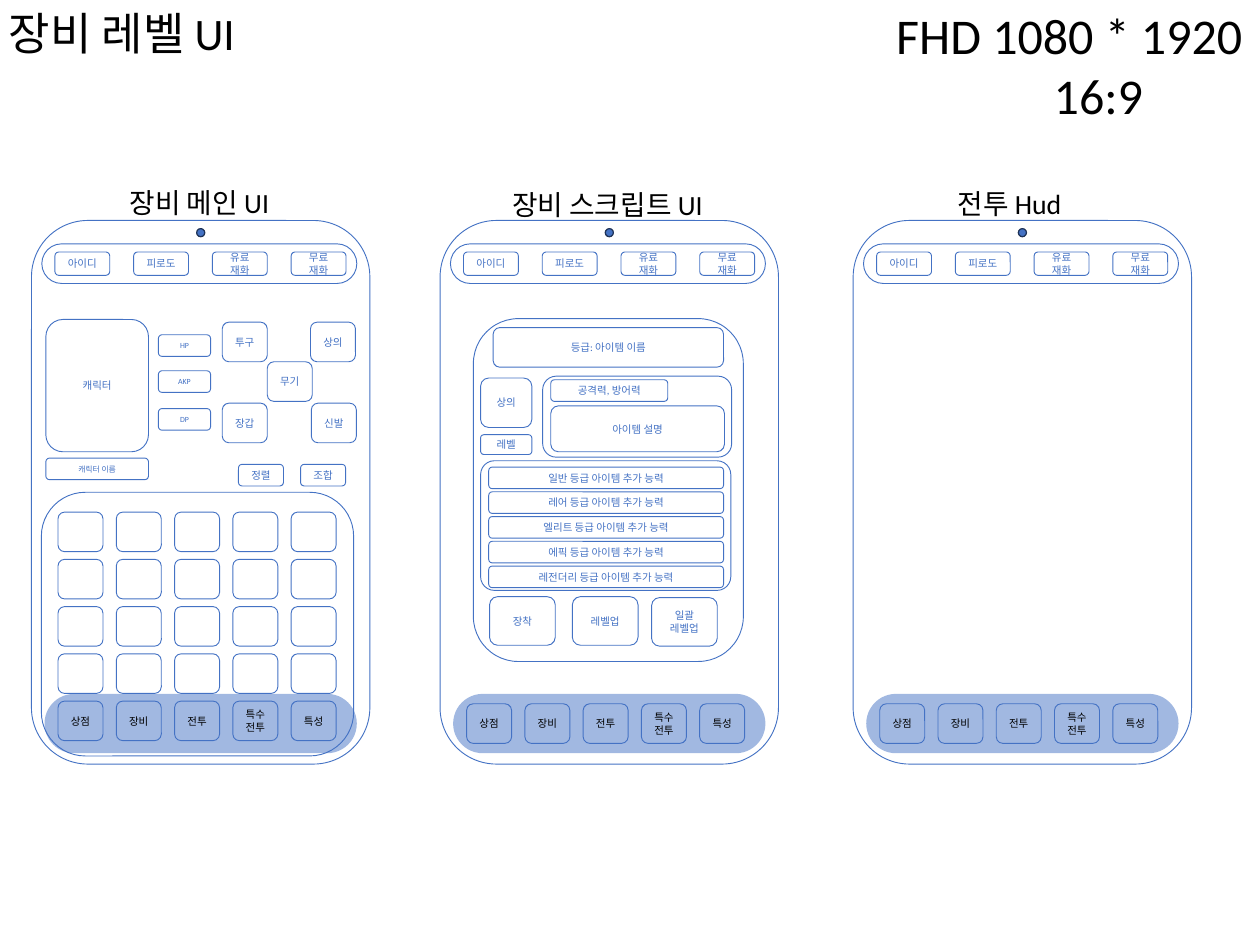
from lxml.etree import SubElement
from pptx import Presentation
from pptx.dml.color import RGBColor
from pptx.enum.shapes import MSO_SHAPE
from pptx.enum.text import MSO_ANCHOR, MSO_AUTO_SIZE, PP_ALIGN
from pptx.oxml.ns import qn
from pptx.util import Inches, Pt

BLUE, NAVY, BLACK = "4472C4", "1E3256", "000000"
PHONE_TOP, PHONE_W, PHONE_H = 2.45, 3.76, 6.04
SLOT_W, SLOT_H, SLOT_PITCH = 0.5, 0.44, 0.6475


def rgb(value):
    return RGBColor.from_string(value)


def write(p, text, size, color, align=PP_ALIGN.CENTER):
    p.text = text
    p.alignment = align
    for font in [p.font] + [r.font for r in p.runs]:
        for name, value in {"name": "Calibri", "size": Pt(size)}.items():
            setattr(font, name, value)
        font.color.rgb = rgb(color)


def add_box(shapes, x, y, w, h, text="", size=8.4, color=BLUE, adj=None,
            kind=MSO_SHAPE.ROUNDED_RECTANGLE, fill=None, line=BLUE, weight=0.75):
    sp = shapes.add_shape(kind, Inches(x), Inches(y), Inches(w), Inches(h))
    sp.shadow.inherit = False
    if adj is not None:
        sp.adjustments[0] = adj
    if fill:
        sp.fill.solid()
        sp.fill.fore_color.rgb = rgb(fill)
    else:
        sp.fill.background()
    if line:
        sp.line.color.rgb = rgb(line)
        sp.line.width = Pt(weight)
    else:
        sp.line.fill.background()
    if text:
        tf = sp.text_frame
        tf.word_wrap = True
        tf.vertical_anchor = MSO_ANCHOR.MIDDLE
        write(tf.paragraphs[0], text, size, color)
    return sp


def add_boxes(shapes, x, y, boxes, **style):
    """Place (left, top, width, height, text) boxes relative to x, y."""
    for left, top, w, h, text in boxes:
        add_box(shapes, x + left, y + top, w, h, text, **style)


def add_text(shapes, x, y, w, h, lines, size, align):
    """Add a text box; lines holds (text, left indent) pairs."""
    box = shapes.add_textbox(Inches(x), Inches(y), Inches(w), Inches(h))
    tf = box.text_frame
    tf.word_wrap = True
    tf.auto_size = MSO_AUTO_SIZE.SHAPE_TO_FIT_TEXT
    for i, (text, indent) in enumerate(lines):
        p = tf.add_paragraph() if i else tf.paragraphs[0]
        write(p, text, size, BLACK, align)
        if indent:
            p._p.get_or_add_pPr().set("marL", str(Inches(indent)))


def add_slot_row(shapes, x, y, labels):
    group = shapes.add_group_shape().shapes
    for i, label in enumerate(labels):
        add_box(group, x + i * SLOT_PITCH, y, SLOT_W, SLOT_H, label, color=BLACK)


def add_status_bar(shapes, x, y):
    group = shapes.add_group_shape().shapes
    add_box(group, x, y, 3.5, 0.44, adj=0.5)
    for i, label in enumerate(["아이디", "피로도", "유료\n재화", "무료\n재화"]):
        add_box(group, x + 0.145 + i * 0.875, y + 0.09, 0.61, 0.26, label)
    add_box(group, x + 1.72, y - 0.17, 0.09, 0.09, kind=MSO_SHAPE.OVAL,
            fill=BLUE, line=NAVY, weight=1)


def add_phone(shapes, x, y, menu_top):
    bar = add_box(shapes, x + 0.145, y + 5.26, 3.47, 0.66, adj=0.5, fill=BLUE, line=None)
    color = bar.fill._xPr.find(qn("a:solidFill"))[0]
    SubElement(color, qn("a:alpha")).set("val", "50000")
    add_box(shapes, x, y, PHONE_W, PHONE_H)
    add_status_bar(shapes, x + 0.115, y + 0.26)
    add_slot_row(shapes, x + 0.295, y + menu_top,
                 ["상점", "장비", "전투", "특수전투", "특성"])


def add_equipment(shapes, x, y):
    add_boxes(shapes, x, y, [
        (2.12, 1.13, SLOT_W, SLOT_H, "투구"),
        (2.12, 2.03, SLOT_W, SLOT_H, "장갑"),
        (3.1, 1.13, SLOT_W, SLOT_H, "상의"),
        (3.11, 2.03, SLOT_W, SLOT_H, "신발"),
        (2.62, 1.57, SLOT_W, SLOT_H, "무기"),
        (0.16, 1.1, 1.14, 1.47, "캐릭터"),
        (2.3, 2.71, 0.5, 0.24, "정렬"),
        (2.99, 2.71, 0.5, 0.24, "조합"),
    ])
    add_boxes(shapes, x, y, [
        (0.16, 2.64, 1.14, 0.24, "캐릭터 이름"),
        (1.41, 1.27, 0.58, 0.24, "HP"),
        (1.41, 1.67, 0.58, 0.24, "AKP"),
        (1.41, 2.09, 0.58, 0.24, "DP"),
    ], size=6.3)


def add_inventory(shapes, x, y):
    add_box(shapes, x, y, 3.47, 2.93)
    for row in range(4):
        add_slot_row(shapes, x + 0.185, y + 0.22 + row * 0.525, [""] * 5)


def add_item_card(shapes, x, y):
    group = shapes.add_group_shape().shapes
    add_boxes(group, x, y, [
        (0, 0, 3, 3.81, ""),
        (0.08, 0.66, 0.57, 0.55, "상의"),
        (0.22, 0.1, 2.56, 0.44, "등급: 아이템 이름"),
        (0.77, 0.64, 2.1, 0.9, ""),
        (0.86, 0.68, 1.3, 0.24, "공격력, 방어력"),
        (0.08, 1.29, 0.57, 0.22, "레벨"),
        (0.86, 0.97, 1.93, 0.51, "아이템 설명"),
        (0.18, 3.09, 0.73, 0.54, "장착"),
        (1.1, 3.09, 0.73, 0.54, "레벨업"),
        (1.98, 3.1, 0.73, 0.54, "일괄 레벨업"),
    ])
    add_box(group, x + 0.08, y + 1.58, 2.78, 1.44, adj=0.106)
    for i, grade in enumerate(["일반", "레어", "엘리트", "에픽", "레전더리"]):
        add_box(group, x + 0.17, y + 1.65 + i * 0.275, 2.61, 0.24,
                f"{grade} 등급 아이템 추가 능력")


def main():
    prs = Presentation()
    prs.slide_width, prs.slide_height = Inches(14), Inches(10.5)
    shapes = prs.slides.add_slide(prs.slide_layouts[6]).shapes

    for x, menu_top in [(0.35, 5.34), (4.89, 5.37), (9.48, 5.37)]:
        add_phone(shapes, x, PHONE_TOP, menu_top)
    add_equipment(shapes, 0.35, PHONE_TOP)
    add_inventory(shapes, 0.46, 5.47)
    add_item_card(shapes, 5.26, 3.54)

    for x, y, w, caption in [(0.99, 2.02, 2.45, "장비 메인 UI"),
                             (5.36, 2.04, 2.78, "장비 스크립트 UI"),
                             (9.99, 2.03, 2.45, "전투 Hud")]:
        add_text(shapes, x, y, w, 0.48, [(caption, 0)], 22.2, PP_ALIGN.CENTER)
    add_text(shapes, 0, 0.01, 4.38, 0.71, [("장비 레벨 UI", 0)], 36, PP_ALIGN.LEFT)
    add_text(shapes, 9.61, 0, 4.38, 1.45,
             [("FHD 1080 * 1920", 0.25), ("16:9", 2)], 40, PP_ALIGN.LEFT)
    prs.save("out.pptx")


if __name__ == "__main__":
    main()
